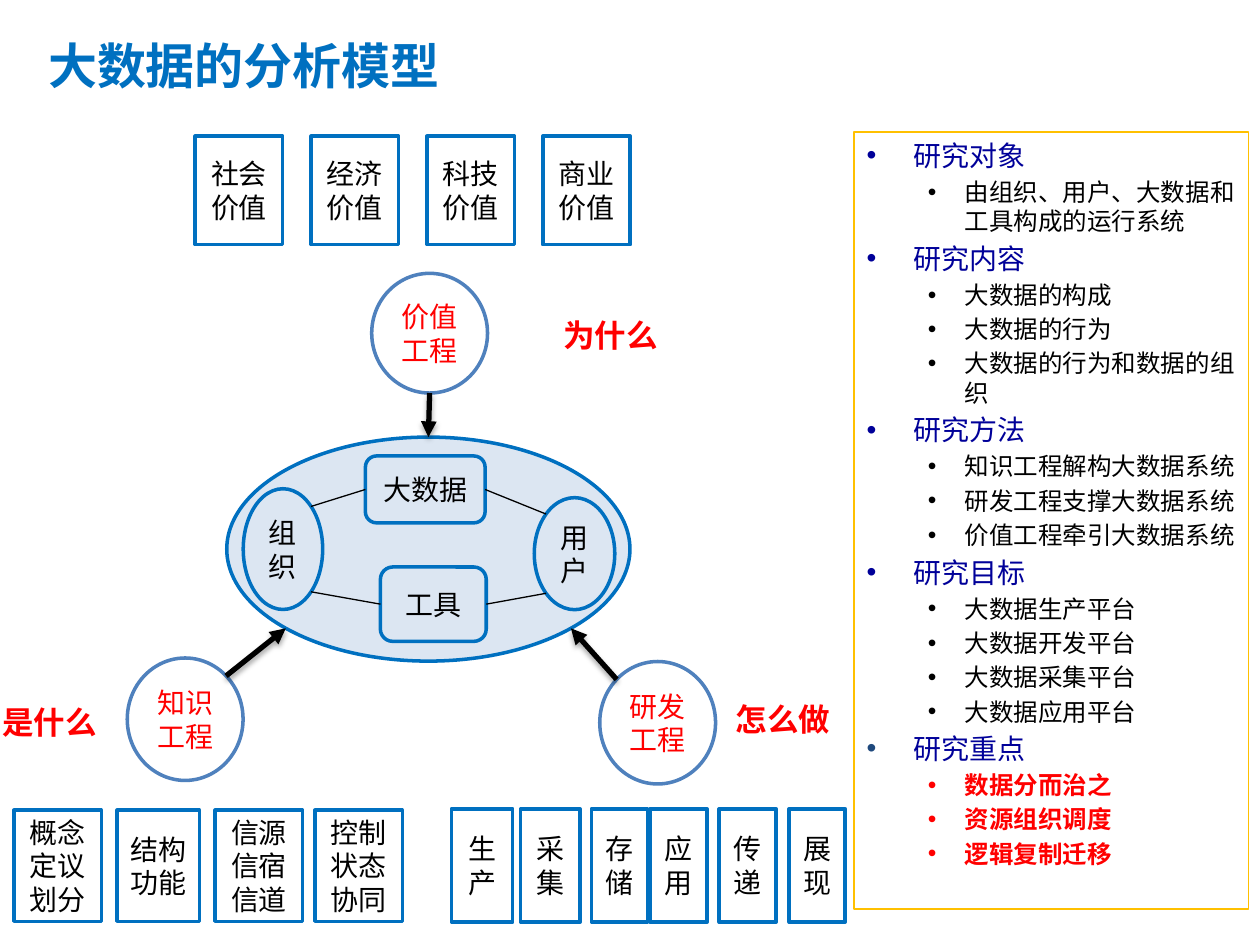
from lxml import etree
from pptx import Presentation
from pptx.dml.color import RGBColor
from pptx.enum.shapes import MSO_CONNECTOR, MSO_SHAPE
from pptx.enum.text import MSO_ANCHOR, MSO_AUTO_SIZE, PP_ALIGN
from pptx.oxml.ns import qn
from pptx.util import Pt

RECT, OVAL, ROUNDED = MSO_SHAPE.RECTANGLE, MSO_SHAPE.OVAL, MSO_SHAPE.ROUNDED_RECTANGLE
STRAIGHT = MSO_CONNECTOR.STRAIGHT
TOP, MIDDLE = MSO_ANCHOR.TOP, MSO_ANCHOR.MIDDLE
LEFT, CENTER = PP_ALIGN.LEFT, PP_ALIGN.CENTER
NO_FIT = MSO_AUTO_SIZE.NONE

BLUE = RGBColor(0x00, 0x70, 0xC0)
STEEL = RGBColor(0x4F, 0x81, 0xBD)
PALE = RGBColor(0xDC, 0xE6, 0xF2)
NAVY = RGBColor(0x00, 0x00, 0x99)
SLATE = RGBColor(0x1F, 0x49, 0x7D)
GOLD = RGBColor(0xFF, 0xC0, 0x00)
RED = RGBColor(0xFF, 0x00, 0x00)
BLACK = RGBColor(0x00, 0x00, 0x00)
WHITE = RGBColor(0xFF, 0xFF, 0xFF)

CJK = "Noto Sans CJK SC"
DIAGONAL = 0.707

RESEARCH = [
    ("研究对象", ["由组织、用户、大数据和工具构成的运行系统"]),
    ("研究内容", ["大数据的构成", "大数据的行为", "大数据的行为和数据的组织"]),
    ("研究方法", ["知识工程解构大数据系统", "研发工程支撑大数据系统", "价值工程牵引大数据系统"]),
    ("研究目标", ["大数据生产平台", "大数据开发平台", "大数据采集平台", "大数据应用平台"]),
    ("研究重点", ["数据分而治之", "资源组织调度", "逻辑复制迁移"]),
]
VALUES = [(text, 66.2 * i, 50) for i, text in
          enumerate(["社会价值", "经济价值", "科技价值", "商业价值"])]
KNOWLEDGE = [("概念\n定议\n划分", 0, 50), ("结构功能", 59, 47),
             ("信源信宿信道", 115, 50), ("控制状态协同", 172, 50)]
DEVELOPMENT = [("生产", 0, 35), ("采集", 39.5, 34), ("存储", 80, 32),
               ("应用", 113.5, 32.5), ("传递", 153, 32.5), ("展现", 193, 32)]


def style(paragraph, size, color, bold=False, face=CJK):
    font = paragraph.font
    font.size, font.bold, font.color.rgb, font.name = Pt(size), bold, color, face
    defaults = paragraph._p.pPr.find(qn("a:defRPr"))
    etree.SubElement(defaults, qn("a:ea"), typeface=CJK)


def place(holder, box):
    holder.left, holder.top, holder.width, holder.height = map(Pt, box)


def add_node(slide, kind, box, text="", line=BLUE, fill=None, color=BLACK):
    node = slide.shapes.add_shape(kind, *map(Pt, box))
    node.shadow.inherit = False
    node.line.color.rgb, node.line.width = line, Pt(2)
    if fill is None:
        node.fill.background()
    else:
        node.fill.solid()
        node.fill.fore_color.rgb = fill
    frame = node.text_frame
    frame.word_wrap, frame.vertical_anchor = True, MIDDLE
    frame.margin_left = frame.margin_right = Pt(5)
    if text:
        frame.text = text
        for paragraph in frame.paragraphs:
            paragraph.alignment = CENTER
            style(paragraph, 16, color)
    return node


def anchor(node, across, down):
    return (int(node.left + node.width * (1 + across) / 2),
            int(node.top + node.height * (1 + down) / 2))


def add_link(slide, start, end, width=0.75, arrow=False):
    link = slide.shapes.add_connector(STRAIGHT, *start, *end)
    link.line.color.rgb, link.line.width = BLACK, Pt(width)
    effects = etree.SubElement(link._element.spPr, qn("a:effectLst"))
    if arrow:
        etree.SubElement(link.line._get_or_add_ln(), qn("a:tailEnd"), type="triangle")
        shadow = etree.SubElement(effects, qn("a:outerShdw"), blurRad=str(Pt(3.1)),
                                  dist=str(Pt(1.8)), dir="5400000", rotWithShape="0")
        black = etree.SubElement(shadow, qn("a:srgbClr"), val=str(BLACK))
        etree.SubElement(black, qn("a:alpha"), val="35000")


def fill_title(slide, box):
    title = slide.shapes.title
    place(title, box)
    frame = title.text_frame
    frame.text = "大数据的分析模型"
    frame.auto_size, frame.vertical_anchor = NO_FIT, TOP
    frame.margin_left = frame.margin_right = frame.margin_top = frame.margin_bottom = 0
    paragraph = frame.paragraphs[0]
    paragraph.alignment = LEFT
    style(paragraph, 28, BLUE, bold=True)


def add_bullet(paragraph, margin, indent, color):
    properties = paragraph._p.get_or_add_pPr()
    properties.set("marL", str(Pt(margin)))
    properties.set("indent", str(Pt(-indent)))
    bullet_color = etree.SubElement(properties, qn("a:buClr"))
    etree.SubElement(bullet_color, qn("a:srgbClr"), val=str(color))
    etree.SubElement(properties, qn("a:buFont"), typeface="Arial")
    etree.SubElement(properties, qn("a:buChar"), char="•")


def fill_research(slide, box):
    research = slide.placeholders[1]
    place(research, box)
    research.line.color.rgb, research.line.width = GOLD, Pt(0.75)
    frame = research.text_frame
    frame.auto_size, frame.word_wrap = NO_FIT, True
    for heading, points in RESEARCH:
        focus = heading == "研究重点"
        first = heading == RESEARCH[0][0]
        topic = frame.paragraphs[0] if first else frame.add_paragraph()
        topic.text = heading
        topic.space_before = Pt(0 if first else 3.2)
        add_bullet(topic, 27, 27, SLATE if focus else NAVY)
        style(topic, 16, NAVY)
        for text in points:
            point = frame.add_paragraph()
            point.text, point.level, point.space_before = text, 1, Pt(2.8)
            color = RED if focus else BLACK
            add_bullet(point, 56, 21, color)
            style(point, 14, color, bold=focus)


def add_hub(slide, box):
    left, top = box[:2]
    hub = add_node(slide, OVAL, box, fill=PALE)

    def part(kind, text, x, y, width, height):
        return add_node(slide, kind, (left + x, top + y, width, height), text)

    organisation = part(OVAL, "组织", 9.4, 29.5, 45.4, 69)
    big_data = part(ROUNDED, "大数据", 79.2, 10.8, 68.4, 38.2)
    users = part(OVAL, "用户", 175.7, 34.6, 46, 64)
    tools = part(ROUNDED, "工具", 87.8, 74.2, 60.5, 42.5)
    for middle, down in ((big_data, -DIAGONAL), (tools, DIAGONAL)):
        add_link(slide, anchor(organisation, DIAGONAL, down), anchor(middle, -1, 0))
        add_link(slide, anchor(middle, 1, 0), anchor(users, -DIAGONAL, down))
    return hub


def add_engineering(slide, box, text, hub, way):
    across, down = way
    circle = add_node(slide, OVAL, box, text, STEEL, WHITE, RED)
    add_link(slide, anchor(circle, across, down), anchor(hub, -across, -down), 3, True)


def add_row(slide, box, cells):
    left, top, height = box
    for text, offset, width in cells:
        add_node(slide, RECT, (left + offset, top, width, height), text)


def add_question(slide, box, text):
    frame = slide.shapes.add_textbox(*map(Pt, box)).text_frame
    frame.margin_left = frame.margin_right = 0
    frame.word_wrap = False
    frame.text = text
    style(frame.paragraphs[0], 18, RED, bold=True, face="Arial")


def main():
    deck = Presentation()
    deck.slide_width, deck.slide_height = Pt(720), Pt(540)
    slide = deck.slides.add_slide(deck.slide_layouts[1])
    fill_title(slide, (27.5, 20, 382, 45))
    fill_research(slide, (488, 75.5, 225.5, 444))
    hub = add_hub(slide, (129.6, 249.8, 230.4, 128))
    add_engineering(slide, (72.7, 376, 66.2, 70), "知识工程", hub, (DIAGONAL, -DIAGONAL))
    add_engineering(slide, (342.7, 378, 66.2, 70), "研发工程", hub, (-DIAGONAL, -DIAGONAL))
    add_engineering(slide, (212.4, 156.2, 66.2, 68.4), "价值工程", hub, (0, 1))
    add_row(slide, (111.6, 77.8, 62), VALUES)
    add_row(slide, (8, 463, 63.5), KNOWLEDGE)
    add_row(slide, (258, 462.2, 64.8), DEVELOPMENT)
    add_question(slide, (322, 177, 54.7, 29), "为什么")
    add_question(slide, (1.4, 398, 54.7, 29), "是什么")
    add_question(slide, (420.5, 396.7, 54.7, 29), "怎么做")
    deck.save("out.pptx")


if __name__ == "__main__":
    main()
